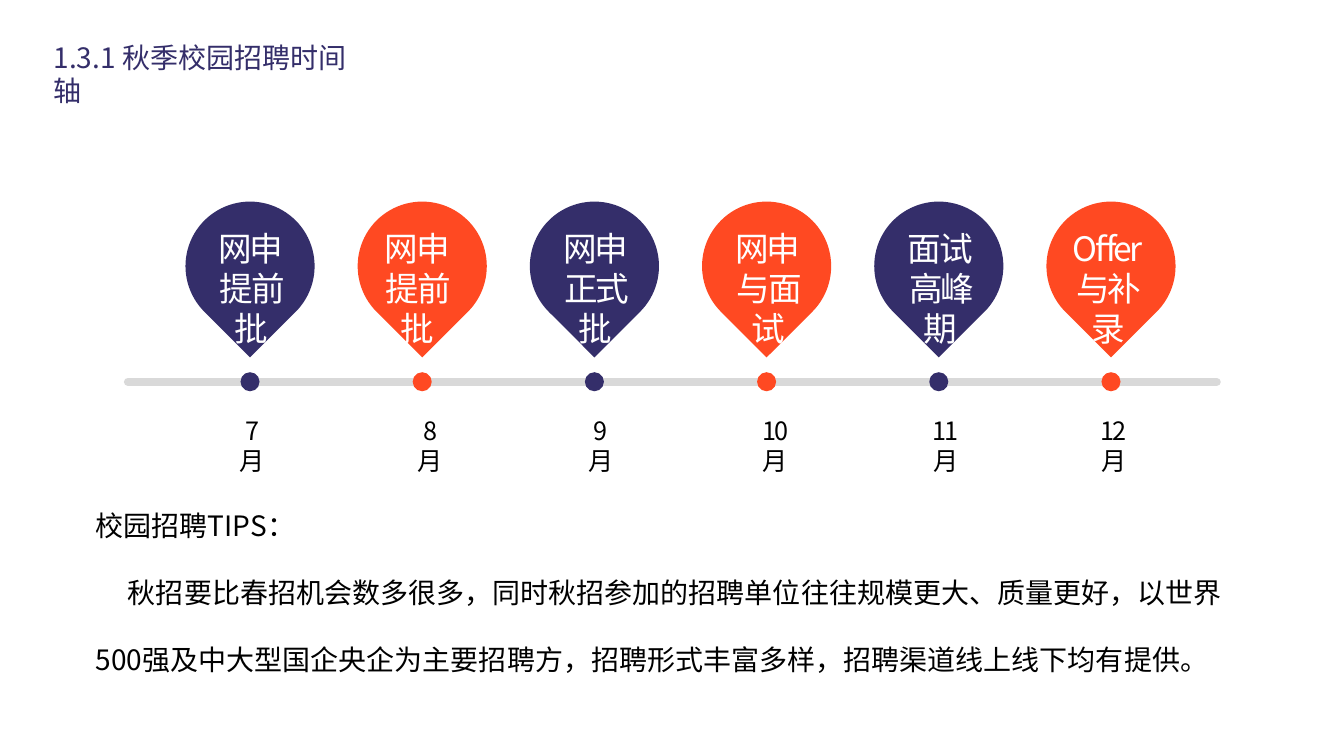
from lxml import etree
from pptx import Presentation
from pptx import util as u
from pptx.dml.color import RGBColor
from pptx.enum import shapes, text
from pptx.oxml import ns

Pt = u.Pt
NAVY, RED, GREY, WHITE, BLACK = "342E6A", "FF4922", "D9D9D9", "FFFFFF", "000000"


def paint(target, code):
    target.rgb = RGBColor.from_string(code)


class Page:
    """Style and current slide; all lengths in points."""

    face = "Noto Sans CJK SC"

    def __init__(self, slide):
        self.slide = slide

    def fill_text(self, box, lines, size, color, align=text.PP_ALIGN.LEFT,
                  gap=None, track=0):
        frame = box.text_frame
        frame.word_wrap = True
        frame.auto_size = text.MSO_AUTO_SIZE.NONE
        frame.vertical_anchor = text.MSO_ANCHOR.TOP
        frame.text = "\n".join(lines)
        for para in frame.paragraphs:
            para.alignment = align
            para.space_before = Pt(0)
            if gap:
                para.line_spacing = gap
            props = para._p.get_or_add_pPr()
            props.set("marL", "0")
            props.set("indent", "0")
            etree.SubElement(props, ns.qn("a:buNone"))
            font = para.font
            font.size = Pt(size)
            paint(font.color, color)
            font.name = self.face
            base = props.find(ns.qn("a:defRPr"))
            etree.SubElement(base, ns.qn("a:ea"), typeface=self.face)
            if track:
                base.set("spc", str(int(track * 100)))
        return frame

    def holder(self, index, x, y, w, h, lines, size, color, **style):
        box = self.slide.placeholders[index]
        box.left, box.top, box.width, box.height = Pt(x), Pt(y), Pt(w), Pt(h)
        return self.fill_text(box, lines, size, color, **style)

    def label(self, mid, y, w, h, lines, size, color):
        box = self.slide.shapes.add_textbox(Pt(mid - w / 2), Pt(y), Pt(w), Pt(h))
        self.fill_text(box, lines, size, color, text.PP_ALIGN.CENTER, track=-1.5)

    def shape(self, kind, mid, y, size, color, turn=0):
        item = self.slide.shapes.add_shape(
            kind, Pt(mid - size / 2), Pt(y), Pt(size), Pt(size))
        item.rotation = turn
        item.shadow.inherit = False
        item.fill.solid()
        paint(item.fill.fore_color, color)
        item.line.fill.background()

    def line(self, x1, x2, y, color, width):
        item = self.slide.shapes.add_connector(
            shapes.MSO_CONNECTOR.STRAIGHT, Pt(x1), Pt(y), Pt(x2), Pt(y))
        paint(item.line.color, color)
        item.line.width = Pt(width)
        props = item._element.spPr
        props.find(ns.qn("a:ln")).set("cap", "rnd")
        etree.SubElement(props, ns.qn("a:effectLst"))


def main():
    deck = Presentation()
    deck.slide_width, deck.slide_height = Pt(960), Pt(540)
    page = Page(deck.slides.add_slide(deck.slide_layouts[1]))

    # Title
    page.holder(0, 31, 25.2, 240.5, 32, ["1.3.1 秋季校园招聘时间轴"], 20, NAVY)

    # Timeline: pin text, its shift, month, its shift and width
    page.line(91.5, 869, 272.7, GREY, 6)
    steps = [
        (["网申", "提前批"], 0.7, "7月", 1.8, 39),
        (["网申", "提前批"], -3.5, "8月", 5.8, 39),
        (["网申", "正式批"], 0.9, "9月", 4.5, 39),
        (["网申", "与面试"], 1, "10月", 6.1, 45),
        (["面试", "高峰期"], 1.2, "11月", 5.1, 42),
        (["Offer", "与补录"], -2.3, "12月", 2, 45),
    ]
    for i, (stage, shift, month, slip, width) in enumerate(steps):
        mid = 178.6 + 123 * i
        color = RED if i % 2 else NAVY
        page.shape(shapes.MSO_SHAPE.OVAL, mid, 265.9, 13.6, color)
        page.shape(shapes.MSO_SHAPE.TEAR, mid, 144, 92.2, color, 135)
        page.label(mid + shift, 159, 81, 65.5, stage, 24, WHITE)
        page.label(mid + slip, 293, width, 29, [month], 18, BLACK)

    # Tips
    tips = page.holder(1, 61.2, 335.5, 826.5, 152.6, [
        "校园招聘TIPS：",
        "秋招要比春招机会数多很多，同时秋招参加的招聘单位往往规模更大、质量更好，"
        "以世界500强及中大型国企央企为主要招聘方，招聘形式丰富多样，"
        "招聘渠道线上线下均有提供。",
    ], 20, BLACK, gap=2.0)
    tips.paragraphs[1]._p.pPr.set("indent", str(Pt(23)))

    deck.save("out.pptx")


if __name__ == "__main__":
    main()
